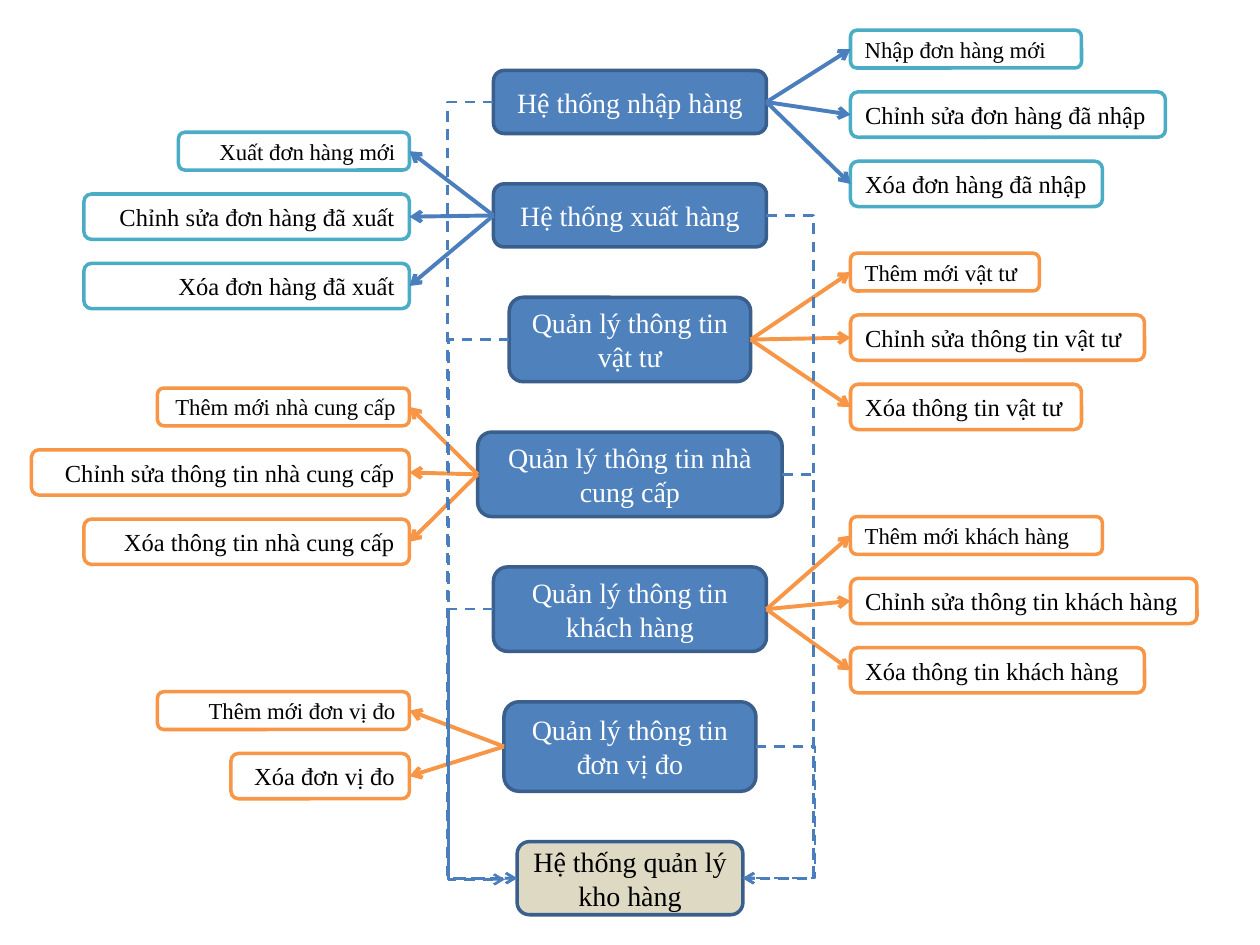
from dataclasses import dataclass
from typing import NamedTuple, Optional

from lxml.etree import SubElement
from pptx import Presentation
from pptx.dml.color import RGBColor
from pptx.enum.dml import MSO_LINE_DASH_STYLE as Dash
from pptx.enum.shapes import MSO_CONNECTOR as Link, MSO_SHAPE as Preset
from pptx.enum.text import MSO_ANCHOR as Anchor, PP_ALIGN as Align
from pptx.oxml.ns import qn
from pptx.util import Inches, Pt


@dataclass(frozen=True)
class Theme:
    """Colours, font and sizes of the diagram."""
    font: str = "Times New Roman"
    module_size: float = 16
    task_size: float = 14
    first_task_size: float = 13
    border: float = 2
    arrow: float = 2.25
    flow: float = 1.5
    module_fill: str = "4F81BD"
    module_line: str = "3A5F8C"
    store_fill: str = "DDD9C3"
    link: str = "4B7EBC"
    order: str = "4BACC6"
    catalog: str = "F79646"
    white: str = "FFFFFF"
    black: str = "000000"


class Task(NamedTuple):
    """One operation of a module; width in columns."""
    label: str
    width: float


class Module(NamedTuple):
    """A system on the centre axis; width in columns, the rest in rows."""
    label: str
    width: float
    top: float
    height: float
    on_right: bool
    is_order: bool
    tasks_top: float
    tasks: tuple[Task, ...]
    lane: float
    flow_end: Optional[tuple[float, float]] = None


THEME = Theme()
WIDTH, HEIGHT = Inches(10), Inches(7.5)
COL, ROW = WIDTH / 120, HEIGHT / 750
AXIS = 60
TASK_EDGE = {False: 39, True: 81}
TASK_ROWS = ((0, 30), (49, 36), (104, 36))
LEFT_SITE, RIGHT_SITE = 1, 3

STORE = Module("Hệ thống quản lý kho hàng", 21.5, 668, 58, True, False, 0, (), 0)
MODULES = (
    Module("Hệ thống nhập hàng", 26, 56, 50, True, True, 24, (
        Task("Nhập đơn hàng mới", 22),
        Task("Chỉnh sửa đơn hàng đã nhập", 30),
        Task("Xóa đơn hàng đã nhập", 24)), 42.6),
    Module("Hệ thống xuất hàng", 26, 146, 50, False, True, 105, (
        Task("Xuất đơn hàng mới", 22),
        Task("Chỉnh sửa đơn hàng đã xuất", 31),
        Task("Xóa đơn hàng đã xuất", 31)), 77.5),
    Module("Quản lý thông tin vật tư", 23, 236, 67, True, False, 201, (
        Task("Thêm mới vật tư", 18),
        Task("Chỉnh sửa thông tin vật tư", 28),
        Task("Xóa thông tin vật tư", 22)), 42.7),
    Module("Quản lý thông tin nhà cung cấp", 29, 343, 67, False, False, 308, (
        Task("Thêm mới nhà cung cấp", 24),
        Task("Chỉnh sửa thông tin nhà cung cấp", 36),
        Task("Xóa thông tin nhà cung cấp", 31)), 77.5),
    Module("Quản lý thông tin khách hàng", 26, 450, 67, True, False, 410, (
        Task("Thêm mới khách hàng", 24),
        Task("Chỉnh sửa thông tin khách hàng", 33),
        Task("Xóa thông tin khách hàng", 28)), 42.7, (48.1, 698)),
    Module("Quản lý thông tin đơn vị đo", 24, 557, 71, False, False, 549, (
        Task("Thêm mới đơn vị đo", 24),
        Task("Xóa đơn vị đo", 17)), 77.6),
)


def rgb(code: str) -> RGBColor:
    """Turn a hex code into a colour."""
    return RGBColor.from_string(code)


def write(box, text: str, *, size: float, color: str, align: Align) -> None:
    """Put formatted text into a box."""
    frame = box.text_frame
    frame.word_wrap = True
    frame.vertical_anchor = Anchor.MIDDLE
    line = frame.paragraphs[0]
    line.alignment = align
    run = line.add_run()
    run.text = text
    run.font.name, run.font.size = THEME.font, Pt(size)
    run.font.color.rgb = rgb(color)


def add_box(shapes, left: float, top: float, width: float, height: float, *,
            fill: str, border: str):
    """Draw a rounded box placed in columns and rows."""
    box = shapes.add_shape(Preset.ROUNDED_RECTANGLE, round(left * COL),
                           round(top * ROW), round(width * COL), round(height * ROW))
    box.shadow.inherit = False
    box.fill.solid()
    box.fill.fore_color.rgb = rgb(fill)
    box.line.color.rgb = rgb(border)
    box.line.width = Pt(THEME.border)
    return box


def add_module(shapes, module: Module, *, fill: str, color: str):
    """Draw a module centred on the axis."""
    box = add_box(shapes, AXIS - module.width / 2, module.top, module.width,
                  module.height, fill=fill, border=THEME.module_line)
    write(box, module.label, size=THEME.module_size, color=color, align=Align.CENTER)
    return box


def add_tasks(shapes, module: Module) -> list:
    """Draw the task boxes of a module, aligned on their inner edge."""
    boxes = []
    for index, (task, (offset, height)) in enumerate(zip(module.tasks, TASK_ROWS)):
        edge = TASK_EDGE[module.on_right]
        box = add_box(shapes, edge if module.on_right else edge - task.width,
                      module.tasks_top + offset, task.width, height, fill=THEME.white,
                      border=THEME.order if module.is_order else THEME.catalog)
        write(box, task.label, color=THEME.black,
              size=THEME.task_size if index else THEME.first_task_size,
              align=Align.LEFT if module.on_right else Align.RIGHT)
        boxes.append(box)
    return boxes


def style_arrow(arrow, color: str, weight: float, dash: Optional[Dash] = None) -> None:
    """Give a connector its line, open arrowhead and no shadow."""
    arrow.line.color.rgb = rgb(color)
    arrow.line.width = Pt(weight)
    if dash is not None:
        arrow.line.dash_style = dash
    props = arrow._element.spPr
    SubElement(props.find(qn("a:ln")), qn("a:tailEnd"), type="arrow")
    SubElement(props, qn("a:effectLst"))


def add_task_arrows(shapes, module: Module, source, targets: list) -> None:
    """Join a module to each of its tasks."""
    near, far = (RIGHT_SITE, LEFT_SITE) if module.on_right else (LEFT_SITE, RIGHT_SITE)
    for target in targets:
        arrow = shapes.add_connector(Link.STRAIGHT, 0, 0, 0, 0)
        arrow.begin_connect(source, near)
        arrow.end_connect(target, far)
        style_arrow(arrow, THEME.link if module.is_order else THEME.catalog, THEME.arrow)


def add_flow(shapes, module: Module) -> None:
    """Lead a dashed elbow from a module along its lane to the store."""
    side = -1 if module.on_right else 1
    start = AXIS + side * module.width / 2
    end, end_row = module.flow_end or (AXIS + side * STORE.width / 2,
                                       STORE.top + STORE.height / 2)
    flow = shapes.add_connector(
        Link.ELBOW, round(start * COL), round((module.top + module.height / 2) * ROW),
        round(end * COL), round(end_row * ROW))
    bend = round((module.lane - start) / (end - start) * 100000)
    guides = flow._element.spPr.find(qn("a:prstGeom")).find(qn("a:avLst"))
    SubElement(guides, qn("a:gd"), name="adj1", fmla=f"val {bend}")
    style_arrow(flow, THEME.link, THEME.flow, Dash.DASH)


def main() -> None:
    """Build the slide and save it."""
    deck = Presentation()
    deck.slide_width, deck.slide_height = WIDTH, HEIGHT
    shapes = deck.slides.add_slide(deck.slide_layouts[6]).shapes
    add_module(shapes, STORE, fill=THEME.store_fill, color=THEME.black)
    sources = [add_module(shapes, module, fill=THEME.module_fill, color=THEME.white)
               for module in MODULES]
    targets = [add_tasks(shapes, module) for module in MODULES]
    for module, source, boxes in zip(MODULES, sources, targets):
        add_task_arrows(shapes, module, source, boxes)
    for module in MODULES:
        add_flow(shapes, module)
    deck.save("out.pptx")


main()
